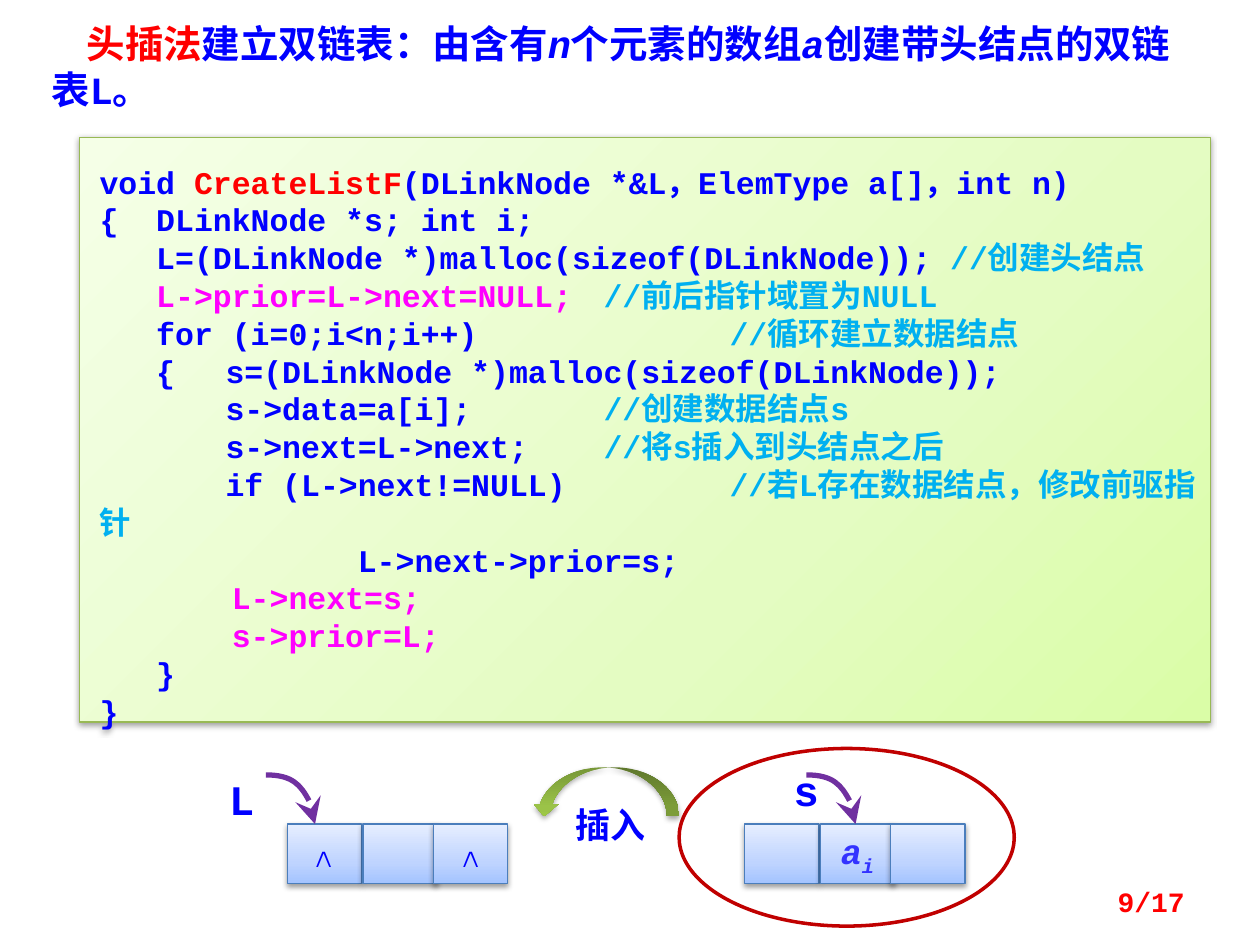
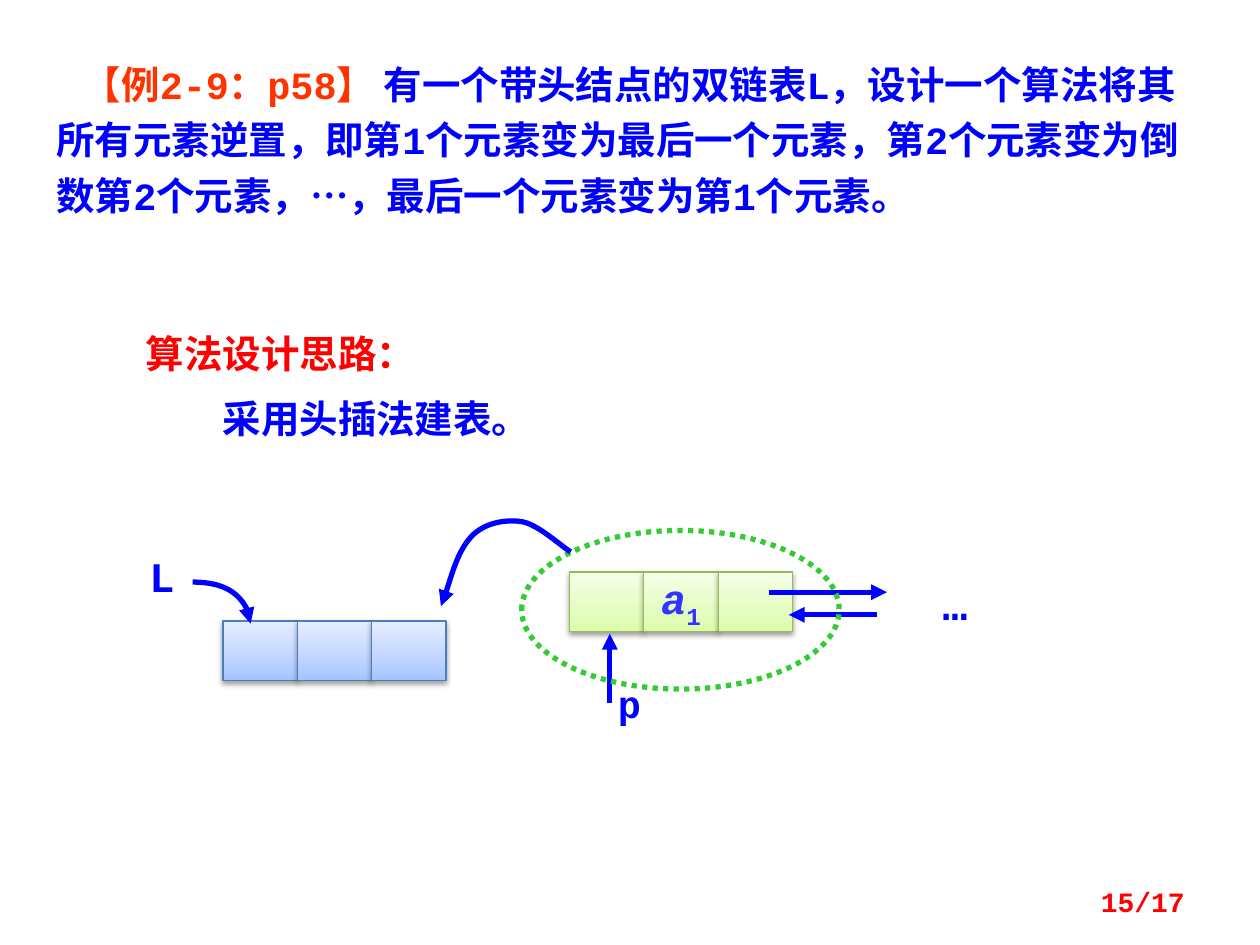
from dataclasses import dataclass

from lxml import etree
from pptx import Presentation
from pptx.dml.color import RGBColor
from pptx.enum.dml import MSO_LINE
from pptx.enum.shapes import MSO_CONNECTOR, MSO_SHAPE
from pptx.enum.text import MSO_ANCHOR, PP_ALIGN
from pptx.oxml import parse_xml
from pptx.oxml.ns import nsdecls, qn
from pptx.util import Inches, Pt

RECT, OVAL, CURVED_ARROW = MSO_SHAPE.RECTANGLE, MSO_SHAPE.OVAL, MSO_SHAPE.CURVED_UP_ARROW
STRAIGHT, DOTTED = MSO_CONNECTOR.STRAIGHT, MSO_LINE.ROUND_DOT
LEFT, CENTER, RIGHT = PP_ALIGN.LEFT, PP_ALIGN.CENTER, PP_ALIGN.RIGHT
TOP, MIDDLE = MSO_ANCHOR.TOP, MSO_ANCHOR.MIDDLE


@dataclass(frozen=True)
class Theme:
    font: str = "Courier New"
    blue: str = "0000FF"
    red: str = "FF0000"
    orange: str = "FF3300"
    pink: str = "FF00FF"
    comment: str = "00B0F0"
    element: str = "3333FF"
    purple: str = "7030A0"
    dark_red: str = "C00000"
    dotted_green: str = "33CC33"
    node_blue: tuple = ((0, "A4C4FF"), (35, "BFD4FF"), (100, "E6EEFF"))
    node_green: tuple = ((0, "DAFDA7"), (35, "E4FCC2"), (100, "F5FFE7"))
    arrow_green: tuple = ((0, "779737"), (80, "9BC348"), (100, "9DC746"))
    blue_edge: str = "4B7EBC"
    green_edge: str = "98B955"
    title: int = 22
    code: int = 18
    label: int = 24
    small_label: int = 20
    footer: int = 16


THEME = Theme()
LINEAR = '<a:lin ang="16200000" scaled="0"/>'
CORNER = '<a:path path="circle"><a:fillToRect l="100000" t="100000"/></a:path>'
CELL_WIDTH, CELL_HEIGHT = 0.59, 0.47


# --- text ---
def add_spans(para, spans, size):
    """Each span is (text, colour) or (text, colour, styles)."""
    for text, colour, *styles in spans:
        span = para.add_run()
        span.text = text
        span.font.name = THEME.font
        span.font.size = Pt(size)
        span.font.bold = True
        span.font.color.rgb = RGBColor.from_string(colour)
        if "italic" in styles:
            span.font.italic = True
        if "sub" in styles:
            span.font._element.set("baseline", "-25000")


def set_half_line_before(para):
    para.space_before = Pt(1)
    spacing = para._p.pPr.find(qn("a:spcBef"))
    spacing.clear()
    etree.SubElement(spacing, qn("a:spcPct")).set("val", "50000")


def set_indent(para, inches):
    """First-line indent, with tab stops at every inch."""
    props = para._p.get_or_add_pPr()
    props.set("marL", "0")
    props.set("indent", str(Inches(inches)))
    props.set("defTabSz", str(Inches(1)))


def set_frame(frame, insets=(0.1, 0.05, 0.1, 0.05), wrap=True, anchor=TOP):
    frame.word_wrap = wrap
    frame.vertical_anchor = anchor
    (frame.margin_left, frame.margin_top,
     frame.margin_right, frame.margin_bottom) = map(Inches, insets)


def add_text(shapes, place, paragraphs, size, align=LEFT, half_before=False,
             indents=(0,), line_spacing=None, tight=False, anchor=TOP):
    box = shapes.add_textbox(*map(Inches, place))
    frame = box.text_frame
    set_frame(frame, (0, 0, 0, 0) if tight else (0.1, 0.05, 0.1, 0.05), anchor=anchor)
    for index, (spans, indent) in enumerate(zip(paragraphs, indents)):
        para = frame.paragraphs[0] if index == 0 else frame.add_paragraph()
        para.alignment = align
        if line_spacing:
            para.line_spacing = line_spacing
        if half_before:
            set_half_line_before(para)
        if indent:
            set_indent(para, indent)
        add_spans(para, spans, size)


def add_label(shapes, place, text, size=THEME.label, **options):
    add_text(shapes, place, [[(text, THEME.blue)]], size, **options)


def add_page_number(page, text):
    add_text(page.shapes, (7.17, 6.95, 2.33, 0.4), [[(text, THEME.red)]],
             THEME.footer, align=RIGHT, anchor=MIDDLE)


# --- shapes ---
def set_gradient(shape, stops, direction=LINEAR):
    shape.fill.background()
    marks = "".join(f'<a:gs pos="{pos * 1000}"><a:srgbClr val="{colour}"/></a:gs>'
                    for pos, colour in stops)
    gradient = parse_xml(f'<a:gradFill {nsdecls("a")} rotWithShape="1">'
                         f"<a:gsLst>{marks}</a:gsLst>{direction}</a:gradFill>")
    props = shape._element.spPr
    props.replace(props.find(qn("a:noFill")), gradient)


def set_shadow(shape, opacity=38):
    shape.shadow.inherit = False
    shape._element.spPr.find(qn("a:effectLst")).append(parse_xml(
        f'<a:outerShdw {nsdecls("a")} blurRad="40000" dist="20000" dir="5400000" '
        f'rotWithShape="0"><a:srgbClr val="000000"><a:alpha val="{opacity * 1000}"/>'
        "</a:srgbClr></a:outerShdw>"))


def set_line(shape, colour, width, head=None, head_size="med"):
    shape.line.color.rgb = RGBColor.from_string(colour)
    shape.line.width = Pt(width)
    if head:
        line = shape._element.spPr.find(qn("a:ln"))
        tip = etree.SubElement(line, qn("a:tailEnd"))
        for name, value in (("type", head), ("w", head_size), ("len", head_size)):
            tip.set(name, value)


def add_panel(shapes, place, stops, edge, direction=LINEAR):
    panel = shapes.add_shape(RECT, *map(Inches, place))
    set_gradient(panel, stops, direction)
    set_line(panel, edge, 0.75)
    set_shadow(panel)
    return panel


def add_node(shapes, lefts, top, texts, stops, edge, size):
    """A row of three cells: prior, data, next."""
    for left, spans in zip(lefts, texts):
        cell = add_panel(shapes, (left, top, CELL_WIDTH, CELL_HEIGHT), stops, edge)
        set_frame(cell.text_frame, wrap=False, anchor=MIDDLE)
        para = cell.text_frame.paragraphs[0]
        para.alignment = CENTER
        add_spans(para, spans, size)


def add_ellipse(shapes, place, colour, width, dash=None):
    ellipse = shapes.add_shape(OVAL, *map(Inches, place))
    ellipse.fill.background()
    set_line(ellipse, colour, width)
    if dash:
        ellipse.line.dash_style = dash
    ellipse.shadow.inherit = False


def add_curve(shapes, points, colour, head, head_size="med"):
    """Bezier arrow: a start point, then three points for every segment."""
    scaled = [(Inches(x), Inches(y)) for x, y in points]
    builder = shapes.build_freeform(*scaled[0])
    builder.add_line_segments(scaled[1:], close=False)
    curve = builder.convert_to_shape()
    outline = curve._element.spPr.find(".//" + qn("a:path"))
    steps = outline.findall(qn("a:lnTo"))
    for first in range(0, len(steps), 3):
        bezier = etree.SubElement(outline, qn("a:cubicBezTo"))
        for step in steps[first:first + 3]:
            bezier.append(step[0])
            outline.remove(step)
    curve.fill.background()
    set_line(curve, colour, 3, head, head_size)
    curve.shadow.inherit = False


def add_quarter_arrow(shapes, left, top, width, height, *style):
    right, bottom = left + width, top + height
    add_curve(shapes, [(left, top), (left + 0.55 * width, top),
                       (right, top + 0.45 * height), (right, bottom)], *style)


def add_arrow(shapes, start, end):
    arrow = shapes.add_connector(STRAIGHT, *map(Inches, start + end))
    set_line(arrow, THEME.blue, 3, "triangle")
    etree.SubElement(arrow._element.spPr, qn("a:effectLst"))


# --- slide 1: head insertion ---
def code_lines():
    """Rows of (indent, spans)."""
    blue, pink, note = THEME.blue, THEME.pink, THEME.comment
    return [
        (0, [("void ", blue), ("CreateListF", THEME.red),
             ("(DLinkNode *&L，ElemType a[]，int n)", blue)]),
        (0, [("{  DLinkNode *s; int i;", blue)]),
        (0.45, [("L=(DLinkNode *)malloc(sizeof(DLinkNode)); ", blue),
                ("//创建头结点", note)]),
        (0.45, [("L->prior=L->next=NULL;\t", pink), ("//前后指针域置为NULL", note)]),
        (0.45, [("for (i=0;i<n;i++)\t\t", blue), ("//循环建立数据结点", note)]),
        (0.45, [("{\ts=(DLinkNode *)malloc(sizeof(DLinkNode));", blue)]),
        (1, [("s->data=a[i];\t\t", blue), ("//创建数据结点s", note)]),
        (1, [("s->next=L->next;\t", blue), ("//将s插入到头结点之后", note)]),
        (1, [("if (L->next!=NULL)\t\t", blue),
             ("//若L存在数据结点，修改前驱指针", note)]),
        (2.05, [("L->next->prior=s;", blue)]),
        (1.05, [("L->next=s;", pink)]),
        (1.05, [("s->prior=L;", pink)]),
        (0.45, [("}", blue)]),
        (0, [("}", blue)]),
    ]


def add_code(shapes):
    panel = add_panel(shapes, (0.63, 1.09, 8.98, 4.64), THEME.node_green,
                      THEME.green_edge, CORNER)
    frame = panel.text_frame
    set_frame(frame, (0.16, 0.2, 0.1, 0.2))
    for index, (indent, spans) in enumerate(code_lines()):
        para = frame.paragraphs[0] if index == 0 else frame.add_paragraph()
        para.alignment = LEFT
        set_indent(para, indent)
        add_spans(para, spans, THEME.code)


def add_pointed_node(page, left, texts, name, name_place, arrow_left):
    group = page.shapes.add_group_shape().shapes
    add_node(group, (left, left + 0.6, left + 1.16), 6.54, texts,
             THEME.node_blue, THEME.blue_edge, THEME.small_label)
    add_quarter_arrow(group, arrow_left, 6.15, 0.39, 0.39, THEME.purple, "stealth", "lg")
    add_label(group, name_place, name, half_before=True)


def build_insertion(page):
    blue = THEME.blue
    add_code(page.shapes)
    add_text(page.shapes, (0.31, 0.11, 9.22, 0.84),
             [[("头插法", THEME.red), ("建立双链表：由含有", blue), ("n", blue, "italic"),
               ("个元素的数组", blue), ("a", blue, "italic"),
               ("创建带头结点的双链表L。", blue)]], THEME.title, indents=(0.28,))

    # Head node and new node
    null = [("∧", blue)]
    data = [("a", THEME.element, "italic"), ("i", THEME.element, "italic", "sub")]
    add_pointed_node(page, 2.28, (null, [], null), "L", (1.72, 6.09, 0.47, 0.5), 2.11)
    add_pointed_node(page, 5.91, ([], data, []), "s", (6.2, 6.02, 0.47, 0.5), 6.4)

    # Insert step
    group = page.shapes.add_group_shape().shapes
    add_ellipse(group, (5.39, 5.94, 2.66, 1.41), THEME.dark_red, 2)
    sweep = group.add_shape(CURVED_ARROW, *map(Inches, (4.22, 6.09, 1.17, 0.39)))
    sweep.rotation = 180
    set_gradient(sweep, THEME.arrow_green)
    sweep.line.fill.background()
    set_shadow(sweep, 35)
    add_label(group, (4.3, 6.33, 1.09, 0.44), "插入", THEME.small_label, align=CENTER)
    add_page_number(page, "9/17")


# --- slide 2: reversing the list ---
def build_reversal(page):
    shapes, blue = page.shapes, THEME.blue
    add_text(shapes, (0.35, 0.36, 9.25, 1.43),
             [[("【例2-9：p58】 ", THEME.orange),
               ("有一个带头结点的双链表L，设计一个算法将其所有元素逆置，"
                "即第1个元素变为最后一个元素，第2个元素变为倒数第2个元素，…，"
                "最后一个元素变为第1个元素。", blue)]],
             THEME.title, half_before=True, indents=(0.21,), line_spacing=1.2)
    add_text(shapes, (1.06, 2.57, 3.94, 1.03),
             [[("算法设计思路：", THEME.red)], [("采用头插法建表。", blue)]],
             THEME.title, half_before=True, indents=(0, 0.61))

    # Head node and first data node
    data = [("a", THEME.element, "italic"), ("1", THEME.element, "sub")]
    for left, top, texts, stops, edge in (
            (1.77, 4.93, ([], [], []), THEME.node_blue, THEME.blue_edge),
            (4.52, 4.54, ([], data, []), THEME.node_green, THEME.green_edge)):
        lefts = [left + column * CELL_WIDTH for column in range(3)]
        add_node(shapes, lefts, top, texts, stops, edge, THEME.label)

    # Labels and pointers
    add_quarter_arrow(shapes, 1.53, 4.62, 0.46, 0.33, blue, "triangle")
    for text, place, size in (("L", (0.97, 4.37, 0.63, 0.4), THEME.label),
                              ("p", (4.68, 5.4, 0.63, 0.37), THEME.title),
                              ("…", (7.11, 4.59, 0.94, 0.4), THEME.label)):
        add_label(shapes, place, text, size, align=CENTER, half_before=True, tight=True)
    for start, end in (((4.84, 5.58), (4.84, 5.03)),
                       ((6.1, 4.7), (7.04, 4.7)),
                       ((6.96, 4.88), (6.26, 4.88))):
        add_arrow(shapes, start, end)

    # Node being moved
    add_ellipse(shapes, (4.14, 4.21, 2.52, 1.26), THEME.dotted_green, 3, DOTTED)
    add_curve(shapes, [(4.53, 4.38), (4.46, 4.34), (4.27, 4.16), (4.14, 4.14),
                       (4.01, 4.12), (3.84, 4.15), (3.74, 4.26),
                       (3.63, 4.38), (3.55, 4.69), (3.5, 4.81)], blue, "triangle")
    add_page_number(page, "15/17")


def main():
    deck = Presentation()
    deck.slide_width, deck.slide_height = Inches(10), Inches(7.5)
    for build in (build_insertion, build_reversal):
        build(deck.slides.add_slide(deck.slide_layouts[6]))
    deck.save("out.pptx")


main()
